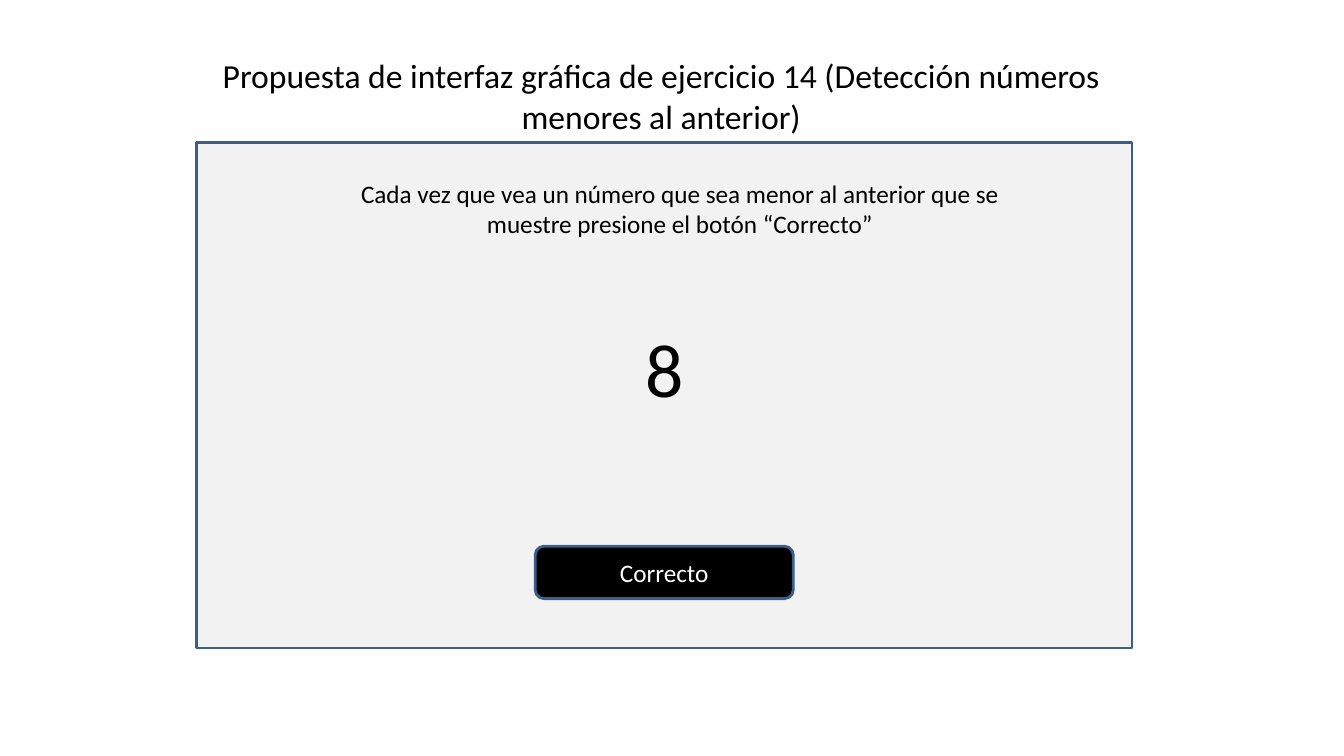
from dataclasses import dataclass

import pptx
import pptx.dml.color
import pptx.enum.shapes
import pptx.enum.text
import pptx.util


@dataclass(frozen=True)
class Theme:
    """Colours, type sizes and line width of the slide."""
    font: str = "Calibri"
    ink: str = "000000"
    panel: str = "F2F2F2"
    outline: str = "3A5F8C"
    button_text: str = "FFFFFF"
    title_size: float = 24
    body_size: float = 18
    number_size: float = 54
    line_width: float = 2


THEME = Theme()


def rgb(value):
    """Return a colour object for a hex value."""
    return pptx.dml.color.RGBColor.from_string(value)


def write(shape, text, size, color, wrap=True):
    """Put one centred paragraph into a shape."""
    frame = shape.text_frame
    frame.word_wrap = wrap
    paragraph = frame.paragraphs[0]
    paragraph.text = text
    paragraph.alignment = pptx.enum.text.PP_ALIGN.CENTER
    paragraph.font.name = THEME.font
    paragraph.font.size = pptx.util.Pt(size)
    paragraph.font.color.rgb = rgb(color)


def add_text(slide, box, text, size, wrap=True):
    """Add a text box with centred dark text."""
    shape = slide.shapes.add_textbox(*map(pptx.util.Pt, box))
    write(shape, text, size, THEME.ink, wrap)


def add_block(slide, kind, box, fill):
    """Add a filled and outlined preset shape."""
    shape = slide.shapes.add_shape(kind, *map(pptx.util.Pt, box))
    shape.shadow.inherit = False
    shape.fill.solid()
    shape.fill.fore_color.rgb = rgb(fill)
    shape.line.color.rgb = rgb(THEME.outline)
    shape.line.width = pptx.util.Pt(THEME.line_width)
    return shape


def add_title(slide, box):
    """Add the slide title."""
    add_text(slide, box, "Propuesta de interfaz gráfica de ejercicio 14 "
             "(Detección números menores al anterior)", THEME.title_size)


def add_button(slide, box):
    """Add the answer button."""
    button = add_block(slide, pptx.enum.shapes.MSO_SHAPE.ROUNDED_RECTANGLE,
                       box, THEME.ink)
    button.text_frame.vertical_anchor = pptx.enum.text.MSO_ANCHOR.MIDDLE
    write(button, "Correcto", THEME.body_size, THEME.button_text)


def add_exercise(slide, box):
    """Add the exercise screen with its instruction, number and button."""
    left, top, width, height = box
    center = left + width / 2
    number_width, button_width = 49, 184.3
    add_block(slide, pptx.enum.shapes.MSO_SHAPE.RECTANGLE, box, THEME.panel)
    add_text(slide, (left + 78.5, top + 22.3, 533.5, 50.4),
             "Cada vez que vea un número que sea menor al anterior que se "
             "muestre presione el botón “Correcto”", THEME.body_size)
    add_text(slide, (center - number_width / 2, top + 124.6, number_width, 72),
             "8", THEME.number_size, wrap=False)
    add_button(slide, (center - button_width / 2, top + height - 72.7,
                       button_width, 37.4))


def main():
    """Build and save the presentation."""
    presentation = pptx.Presentation()
    presentation.slide_width = pptx.util.Pt(960)
    presentation.slide_height = pptx.util.Pt(540)
    slide = presentation.slides.add_slide(presentation.slide_layouts[6])
    add_title(slide, (120.2, 36, 704.2, 64.8))
    add_exercise(slide, (140.4, 101.5, 668.2, 361.4))
    presentation.save("out.pptx")


if __name__ == "__main__":
    main()
